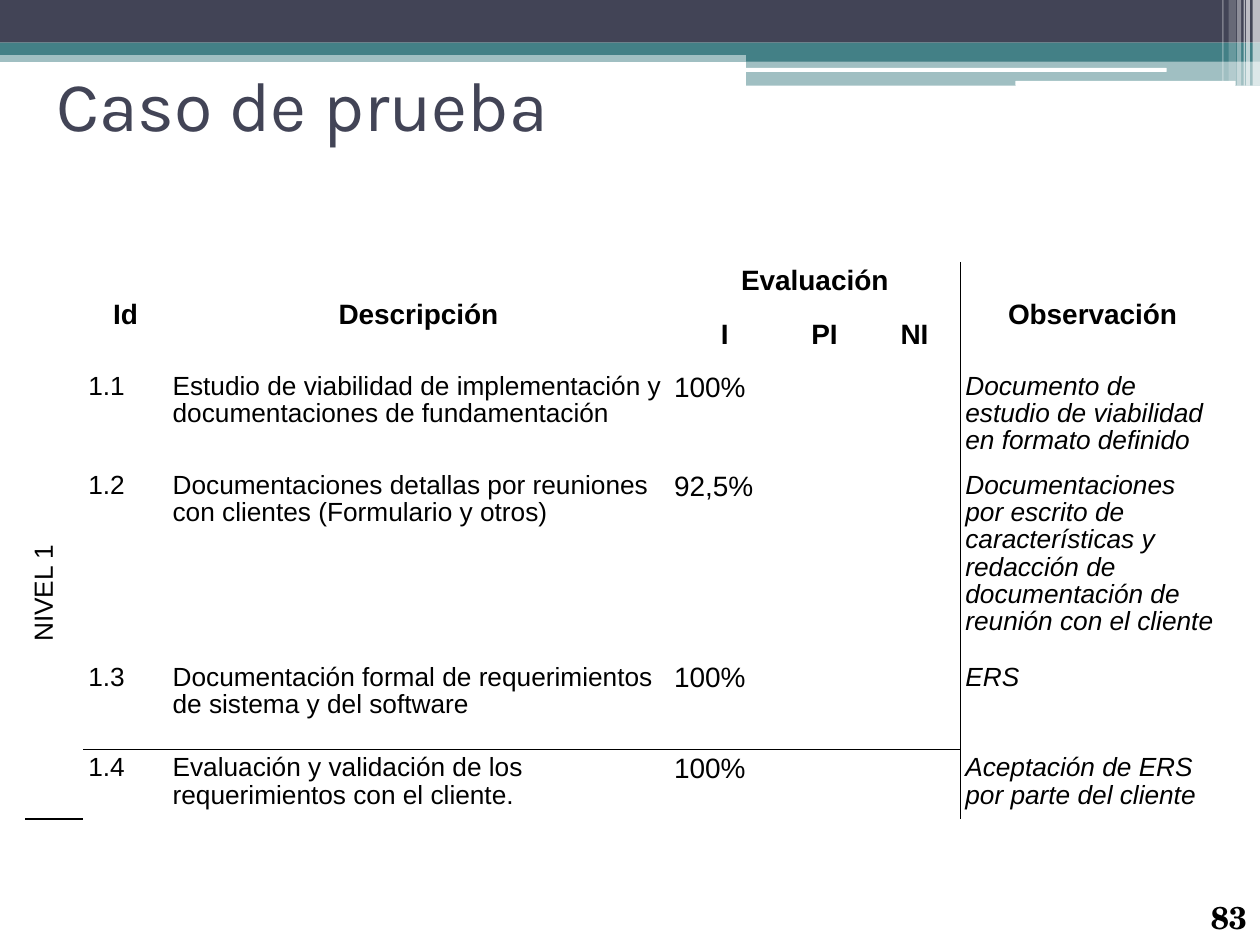
from dataclasses import dataclass

import pptx
import pptx.dml.color
import pptx.enum.shapes
import pptx.enum.text
import pptx.oxml
import pptx.oxml.ns
import pptx.util

Cm, Pt = pptx.util.Cm, pptx.util.Pt
RGBColor = pptx.dml.color.RGBColor
SHAPE = pptx.enum.shapes.MSO_SHAPE
ANCHOR = pptx.enum.text.MSO_ANCHOR
ALIGN = pptx.enum.text.PP_ALIGN

SLATE = RGBColor(0x42, 0x44, 0x56)
TEAL = RGBColor(0x43, 0x80, 0x86)
WHITE = RGBColor(0xFF, 0xFF, 0xFF)
BLACK = RGBColor(0, 0, 0)

HAIRLINE, RULE = 0.03, 1


@dataclass
class Bar:
    left: float
    top: float
    width: float
    height: float
    color: RGBColor
    opacity: int = 100
    rounded: bool = False


@dataclass
class Entry:
    """Text of one table cell, with the last row and column it spans."""
    row: int
    col: int
    text: str
    size: int = 15
    bold: bool = False
    italic: bool = False
    align: ALIGN = ALIGN.LEFT
    anchor: ANCHOR = ANCHOR.TOP
    last_row: int | None = None
    last_col: int | None = None
    vertical: bool = False


BARS = [
    Bar(0, 1.02, 25.4, 0.23, TEAL, 50),
    Bar(0, 0, 25.4, 0.86, SLATE),
    Bar(0, 0.86, 25.4, 0.25, TEAL),
    Bar(15.04, 0.99, 10.36, 0.25, TEAL),
    Bar(15.04, 1.22, 10.36, 0.51, TEAL, 50),
    Bar(15.01, 1.37, 8.51, 0.08, WHITE, rounded=True),
    Bar(20.47, 1.63, 4.44, 0.1, WHITE, rounded=True),
    Bar(25.25, 0, 0.15, 1.73, WHITE, 65),
    Bar(25.12, 0, 0.08, 1.73, WHITE, 65),
    Bar(25.07, 0, 0.03, 1.73, WHITE, 60),
    Bar(24.94, 0, 0.08, 1.73, WHITE, 40),
    Bar(24.77, 0, 0.15, 1.63, WHITE, 20),
    Bar(24.64, 0, 0.03, 1.63, WHITE, 30),
]

COL_WIDTHS = [1.17, 1.7, 10.11, 2.24, 1.78, 1.85, 5.33]
ROW_HEIGHTS = [1.07, 1.07, 1.93, 3.86, 1.83, 1.37]

TALL_HEADERS = {1: "Id", 2: "Descripción", 6: "Observación"}
SUBHEADERS = {3: "I", 4: "PI", 5: "NI"}
TESTS = [
    ("1.1", "Estudio de viabilidad de implementación y documentaciones de fundamentación",
     "100%", "Documento de estudio de viabilidad en formato definido"),
    ("1.2", "Documentaciones detallas por reuniones con clientes (Formulario y otros)",
     "92,5%", "Documentaciones por escrito de características y redacción de "
     "documentación de reunión con el cliente"),
    ("1.3", "Documentación formal de requerimientos de sistema y del software",
     "100%", "ERS"),
    ("1.4", "Evaluación y validación de los requerimientos con el cliente.",
     "100%", "Aceptación de ERS por parte del cliente"),
]


def write(tf, text: str, *, size: float, font: str = "Arial", color: RGBColor = BLACK,
          bold: bool = False, italic: bool = False, align: ALIGN = ALIGN.LEFT,
          spacing: float = 1.0) -> None:
    p = tf.paragraphs[0]
    p.alignment = align
    p.line_spacing = spacing
    r = p.add_run()
    r.text = text
    r.font.name, r.font.size = font, Pt(size)
    r.font.bold, r.font.italic = bold, italic
    r.font.color.rgb = color


def set_margins(obj, left: float, top: float, right: float, bottom: float) -> None:
    obj.margin_left, obj.margin_top = Cm(left), Cm(top)
    obj.margin_right, obj.margin_bottom = Cm(right), Cm(bottom)


def draw_bar(slide, bar: Bar) -> None:
    kind = SHAPE.ROUNDED_RECTANGLE if bar.rounded else SHAPE.RECTANGLE
    sp = slide.shapes.add_shape(kind, Cm(bar.left), Cm(bar.top), Cm(bar.width), Cm(bar.height))
    sp.shadow.inherit = False
    sp.line.fill.background()
    sp.fill.solid()
    sp.fill.fore_color.rgb = bar.color
    if bar.opacity < 100:
        color = sp._element.spPr.find(".//" + pptx.oxml.ns.qn("a:srgbClr"))
        pptx.oxml.ns.qn("a:alpha")
        alpha = color.makeelement(pptx.oxml.ns.qn("a:alpha"), {"val": str(bar.opacity * 1000)})
        color.append(alpha)


def set_borders(cell, widths: dict[str, float]) -> None:
    tc_pr = cell._tc.get_or_add_tcPr()
    for side in "LRTB":
        tc_pr.append(pptx.oxml.parse_xml(
            f'<a:ln{side} {pptx.oxml.ns.nsdecls("a")} w="{int(Pt(widths[side]))}">'
            f'<a:solidFill><a:srgbClr val="{BLACK}"/></a:solidFill></a:ln{side}>'))


def border_widths(row: int, col: int) -> dict[str, float]:
    """Rules run before the last column, above the last test and under the level."""
    ruled = {
        "L": col == 6,
        "R": col == 5 or (row, col) == (0, 3),
        "T": row == 5 and 1 <= col <= 5,
        "B": (row == 4 and 1 <= col <= 5) or (col == 0 and row in (2, 5)),
    }
    return {side: RULE if on else HAIRLINE for side, on in ruled.items()}


def table_entries() -> list[Entry]:
    header = dict(size=16, bold=True, align=ALIGN.CENTER)
    entries = [Entry(0, col, text, anchor=ANCHOR.MIDDLE, last_row=1, **header)
               for col, text in TALL_HEADERS.items()]
    entries.append(Entry(0, 3, "Evaluación", last_col=5, **header))
    entries += [Entry(1, col, text, **header) for col, text in SUBHEADERS.items()]
    entries.append(Entry(2, 0, "NIVEL 1", align=ALIGN.CENTER, anchor=ANCHOR.MIDDLE,
                         last_row=5, vertical=True))
    for row, (number, description, score, note) in enumerate(TESTS, start=2):
        entries += [Entry(row, 1, number), Entry(row, 2, description),
                    Entry(row, 3, score, size=16), Entry(row, 6, note, italic=True)]
    return entries


def fill_cell(table, entry: Entry) -> None:
    cell = table.cell(entry.row, entry.col)
    if entry.last_row or entry.last_col:
        cell.merge(table.cell(entry.last_row or entry.row, entry.last_col or entry.col))
    set_margins(cell, 0.1, 0.12, 0.1, 0.1)
    cell.vertical_anchor = entry.anchor
    if entry.vertical:
        cell._tc.get_or_add_tcPr().set("vert", "vert270")
    write(cell.text_frame, entry.text, size=entry.size, bold=entry.bold,
          italic=entry.italic, align=entry.align, spacing=0.93)


def add_test_table(slide) -> None:
    table = slide.shapes.add_table(
        len(ROW_HEIGHTS), len(COL_WIDTHS), Cm(0.51), Cm(5.28),
        Cm(sum(COL_WIDTHS)), Cm(sum(ROW_HEIGHTS))).table
    table.first_row = table.horz_banding = False
    for column, width in zip(table.columns, COL_WIDTHS):
        column.width = Cm(width)
    for r, (row, height) in enumerate(zip(table.rows, ROW_HEIGHTS)):
        row.height = Cm(height)
        for c, cell in enumerate(row.cells):
            set_borders(cell, border_widths(r, c))
            cell.fill.background()
    for entry in table_entries():
        fill_cell(table, entry)


def add_title(slide) -> None:
    title = slide.shapes.title
    slide.shapes._spTree.append(title._element)  # in front of the banner
    title.left, title.top, title.width, title.height = Cm(0.91), Cm(0.23), Cm(23.6), Cm(3.76)
    tf = title.text_frame
    tf.vertical_anchor = ANCHOR.MIDDLE
    set_margins(tf, 0.23, 0.1, 0.23, 0.13)
    write(tf, "Caso de prueba", size=40, font="Karla", color=SLATE)


def add_page_number(slide) -> None:
    tf = slide.shapes.add_textbox(Cm(24.18), Cm(17.96), Cm(1.22), Cm(1.09)).text_frame
    tf.word_wrap = False
    set_margins(tf, 0.23, 0.15, 0.23, 0.1)
    write(tf, "83", size=18, font="TeX Gyre Schola", bold=True)


def main() -> None:
    prs = pptx.Presentation()
    prs.slide_width, prs.slide_height = Cm(25.4), Cm(19.05)
    slide = prs.slides.add_slide(prs.slide_layouts[5])
    for bar in BARS:
        draw_bar(slide, bar)
    add_title(slide)
    add_page_number(slide)
    add_test_table(slide)
    prs.save("out.pptx")


if __name__ == "__main__":
    main()
